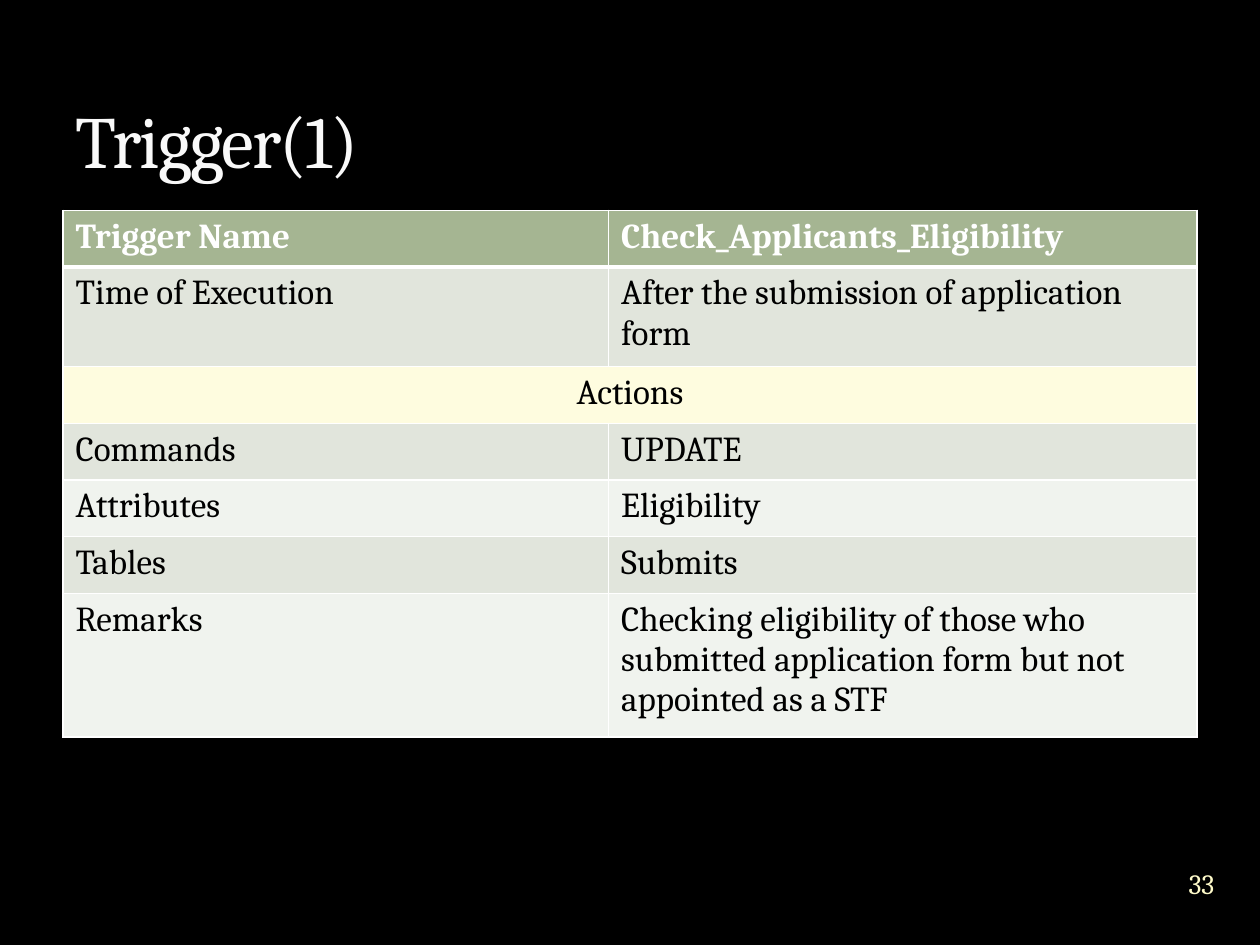
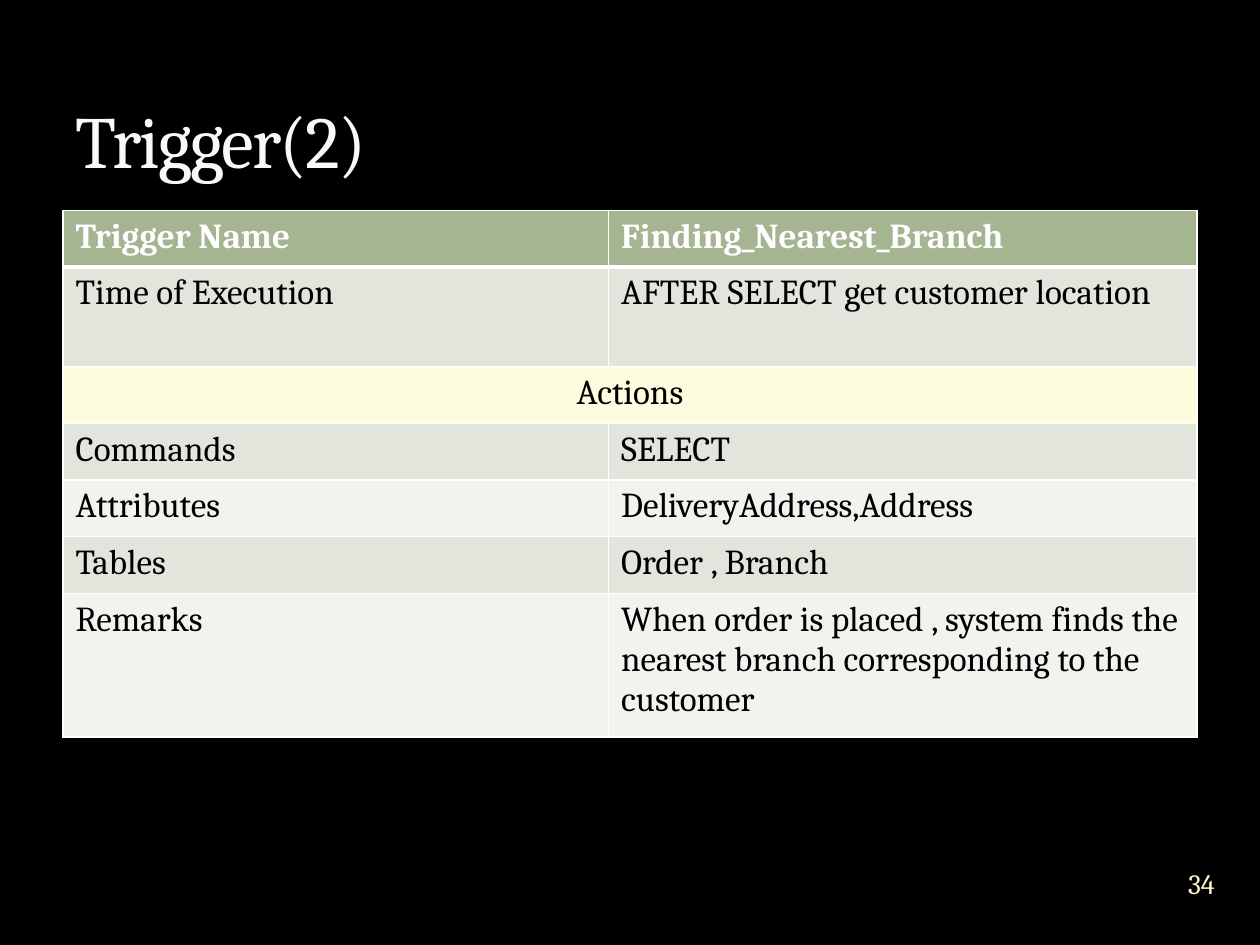
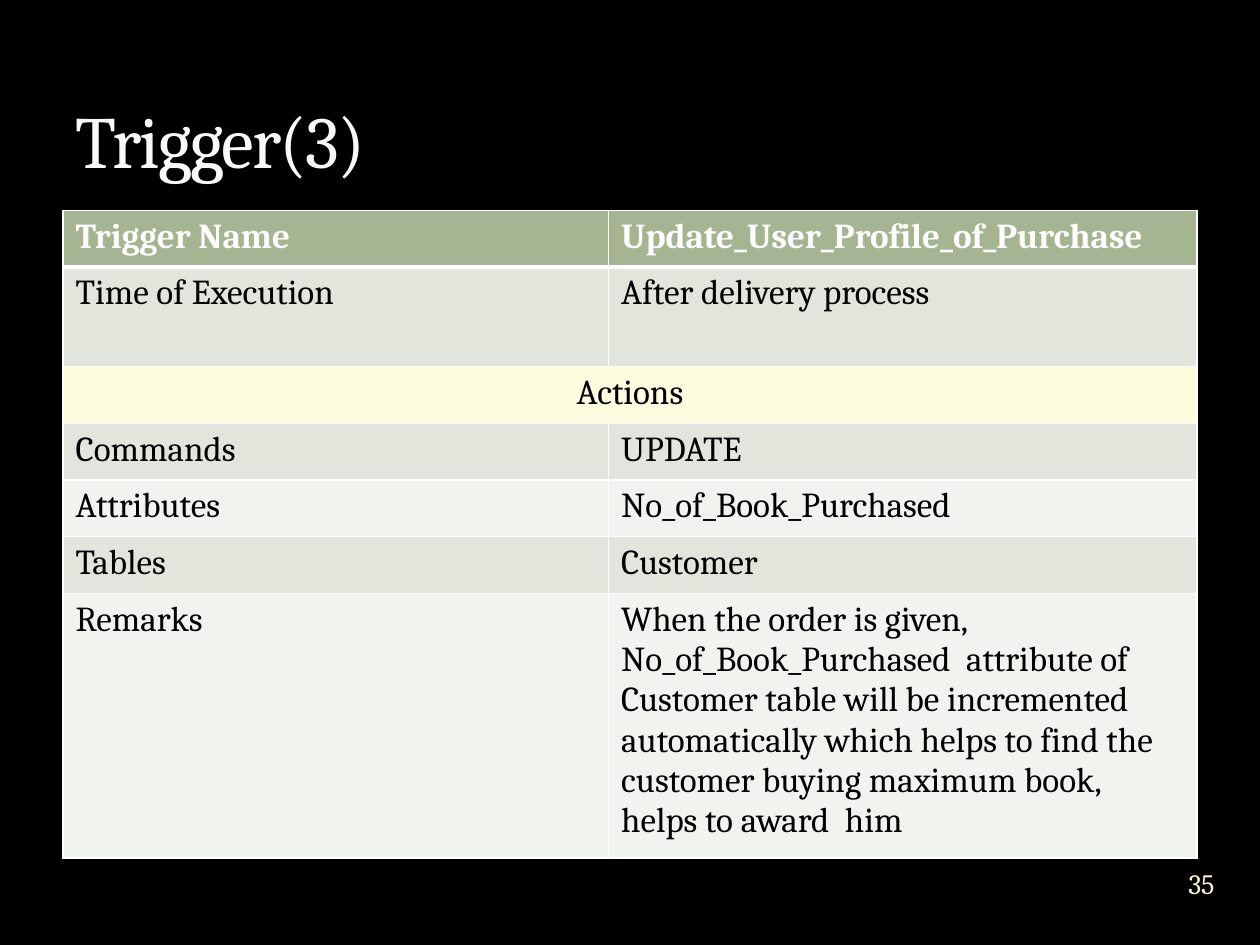
from dataclasses import dataclass

from lxml.etree import SubElement
from pptx import Presentation
from pptx.dml.color import RGBColor as RGB
from pptx.enum.text import MSO_ANCHOR as ANCHOR, PP_ALIGN as ALIGN
from pptx.oxml import parse_xml
from pptx.oxml.ns import nsdecls, qn
from pptx.util import Inches, Pt


@dataclass(frozen=True)
class Theme:
    font: str = "Cambria"
    background: str = "000000"
    title: str = "F9F9F9"
    outline: str = "3C4422"
    number: str = "FEFAC9"
    header: str = "A5B592"
    header_text: str = "FFFFFF"
    border: str = "FFFFFF"
    body_text: str = "000000"
    band: str = "E1E5DC"
    plain: str = "F0F3EE"
    section: str = "FEFCDF"
    title_size: int = 42
    body_size: int = 20
    number_size: int = 16
    thin: int = 1
    thick: int = 3


T = Theme()
MARGIN = 0.5
TABLE_TOP = 1.67
COLUMNS = (4.33, 4.67)
LINE = 0.45
ROWS = (LINE, 0.79, LINE, LINE, LINE, LINE, 1.14)
FILLS = (T.header, T.band, T.section, T.band, T.plain, T.band, T.plain)
LABELS = ("Trigger Name", "Time of Execution", "Actions", "Commands",
          "Attributes", "Tables", "Remarks")
FIRST_NUMBER = 33
TRIGGERS = (
    (4.17, ("Check_Applicants_Eligibility",
            "After the submission of application form",
            None, "UPDATE", "Eligibility", "Submits",
            "Checking eligibility of those who submitted application form "
            "but not appointed as a STF")),
    (4.17, ("Finding_Nearest_Branch",
            "AFTER SELECT get customer location",
            None, "SELECT", "DeliveryAddress,Address", "Order , Branch",
            "When order is placed , system finds the nearest branch "
            "corresponding to the customer")),
    (5.45, ("Update_User_Profile_of_Purchase",
            "After delivery process",
            None, "UPDATE", "No_of_Book_Purchased", "Customer",
            "When the order is given, No_of_Book_Purchased  attribute of "
            "Customer table will be incremented automatically which helps "
            "to find the customer buying maximum book, helps to award  him")),
)


def add_run(tf, text, size, color, bold=False, align=ALIGN.LEFT):
    p = tf.paragraphs[0]
    p.alignment = align
    r = p.add_run()
    r.text = text
    r.font.name = T.font
    r.font.size = Pt(size)
    r.font.bold = bold
    r.font.color.rgb = RGB.from_string(color)
    return r


def add_border(cell, side, width):
    ln = SubElement(cell._tc.get_or_add_tcPr(), qn(f"a:ln{side}"), w=str(Pt(width)))
    fill = SubElement(ln, qn("a:solidFill"))
    SubElement(fill, qn("a:srgbClr"), val=T.border)


prs = Presentation()
prs.slide_width, prs.slide_height = Inches(10), Inches(7.5)

for index, (height, values) in enumerate(TRIGGERS):
    s = prs.slides.add_slide(prs.slide_layouts[6])
    s.background.fill.solid()
    s.background.fill.fore_color.rgb = RGB.from_string(T.background)

    frame = s.shapes.add_table(len(ROWS), len(COLUMNS), Inches(MARGIN), Inches(TABLE_TOP),
                               Inches(sum(COLUMNS)), Inches(height))
    table = frame.table
    table.horz_banding = False
    for column, width in zip(table.columns, COLUMNS):
        column.width = Inches(width)
    for row, row_height in zip(table.rows, ROWS):
        row.height = Inches(row_height)
    frame.height = Inches(height)

    for i, texts in enumerate(zip(LABELS, values)):
        is_header, is_section = i == 0, values[i] is None
        for cell, text in zip(table.rows[i].cells, texts):
            add_border(cell, "L", T.thin)
            add_border(cell, "R", T.thin)
            add_border(cell, "T", T.thick if i == 1 else T.thin)
            add_border(cell, "B", T.thick if is_header else T.thin)
            cell.fill.solid()
            cell.fill.fore_color.rgb = RGB.from_string(FILLS[i])
            if text:
                add_run(cell.text_frame, text, T.body_size,
                        T.header_text if is_header else T.body_text, is_header,
                        ALIGN.CENTER if is_section else ALIGN.LEFT)
        if is_section:
            table.cell(i, 0).merge(table.cell(i, 1))

    tf = s.shapes.add_textbox(Inches(9.2), Inches(6.76), Inches(0.67), Inches(0.5)).text_frame
    tf.word_wrap = True
    tf.vertical_anchor = ANCHOR.MIDDLE
    tf.margin_left = tf.margin_right = tf.margin_top = tf.margin_bottom = 0
    add_run(tf, str(FIRST_NUMBER + index), T.number_size, T.number, align=ALIGN.CENTER)

    tf = s.shapes.add_textbox(Inches(MARGIN), Inches(0.17),
                              Inches(sum(COLUMNS)), Inches(1.33)).text_frame
    tf.word_wrap = True
    tf.vertical_anchor = ANCHOR.BOTTOM
    r = add_run(tf, f"Trigger({index + 1})", T.title_size, T.title)
    rPr = r.font._element
    rPr.set("spc", "-100")
    rPr.insert(0, parse_xml(
        f'<a:ln {nsdecls("a")} w="{Pt(0.25)}"><a:solidFill><a:srgbClr val="{T.outline}">'
        '<a:alpha val="25000"/></a:srgbClr></a:solidFill></a:ln>'))

prs.save("out.pptx")
